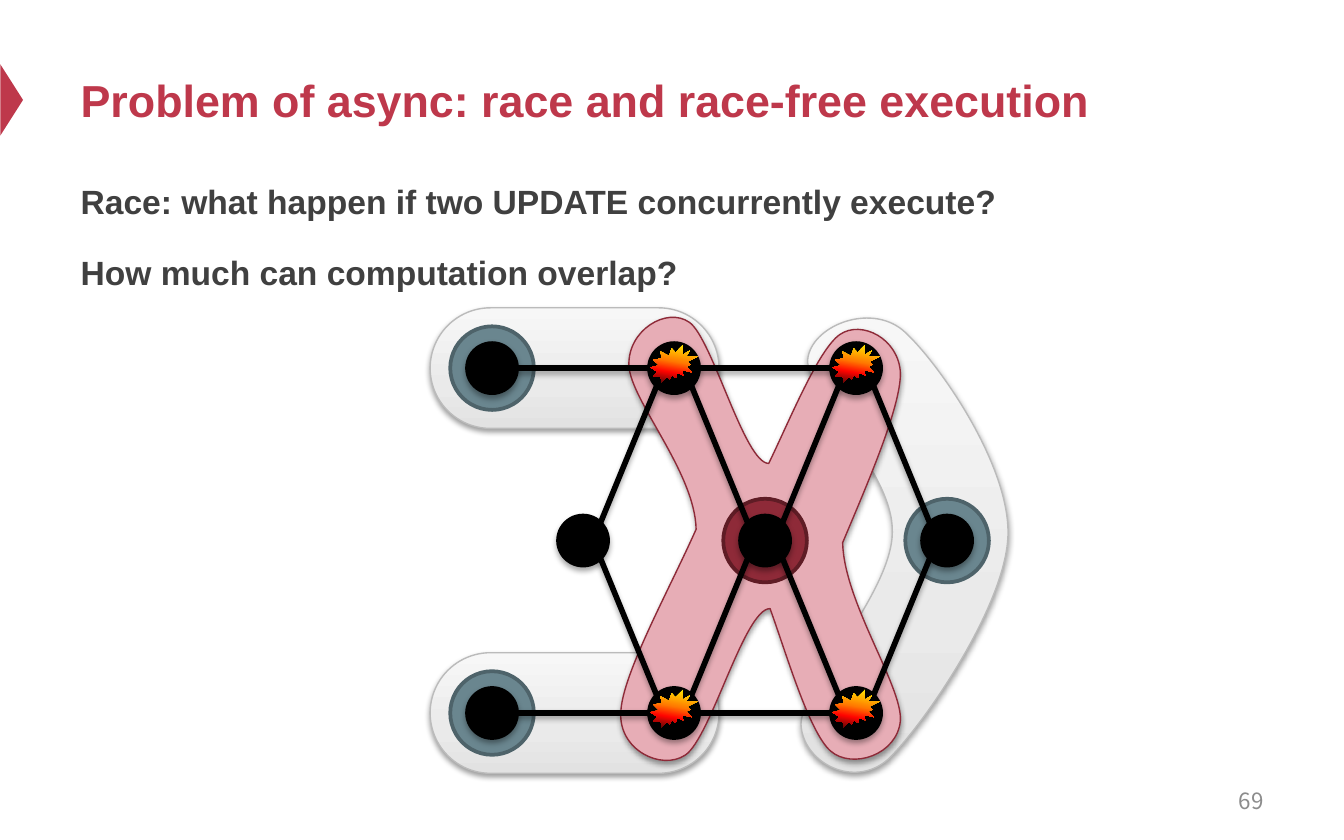
from math import cos, radians, sin
from lxml.etree import SubElement
from pptx import Presentation
from pptx.dml.color import RGBColor
from pptx.enum.shapes import MSO_CONNECTOR, MSO_SHAPE
from pptx.enum.text import MSO_ANCHOR, MSO_AUTO_SIZE, PP_ALIGN
from pptx.oxml.ns import qn
from pptx.util import Cm, Pt

HUES = {
    "brand": "BE384B", "text": "404040", "page": "8C8C8C", "black": "000000",
    "edge": "BBBBBB", "pink": "E7ADB6", "wine": "8E2A38", "dark": "5F1C25",
    "teal": "6A868F", "deep": "4E636A",
}
GREY = [(0, "E2E2E2"), (35, "EAEAEA"), (100, "F7F7F7")]
FIRE = [(0, "FFF200"), (45, "FF7A00"), (70, "FF0300"), (100, "4D0808")]
SOFT = (38, 1.6)  # shadow opacity in percent, distance in points
HARD = (35, 1.8)

INCH = 2.54  # the curve points below are in inches
BEND = [
    (7.5, 3.99),
    (7.52, 3.46), (6.97, 2.68), (6.72, 2.46),
    (6.47, 2.25), (6.03, 2.43), (6.01, 2.68),
    (6, 2.93), (6.65, 3.51), (6.64, 3.96),
    (6.64, 4.41), (5.96, 5.12), (5.96, 5.39),
    (5.97, 5.67), (6.35, 5.88), (6.61, 5.65),
    (6.86, 5.41), (7.48, 4.52), (7.5, 3.99),
]
CROSS = [
    (5.13, 2.4),
    (5.3, 2.52), (5.54, 3.45), (5.72, 3.45),
    (5.88, 3.12), (6.09, 2.6), (6.25, 2.49),
    (6.41, 2.38), (6.69, 2.52), (6.7, 2.78),
    (6.7, 3.04), (6.45, 3.61), (6.27, 4.04),
    (6.28, 4.48), (6.71, 5.1), (6.7, 5.36),
    (6.68, 5.62), (6.34, 5.73), (6.18, 5.59),
    (6.02, 5.45), (5.85, 4.86), (5.73, 4.53),
    (5.54, 4.53), (5.29, 5.49), (5.1, 5.62),
    (4.92, 5.74), (4.6, 5.58), (4.62, 5.3),
    (4.63, 5.02), (4.98, 4.39), (5.18, 3.94),
    (5.17, 3.51), (4.69, 2.98), (4.68, 2.72),
    (4.67, 2.46), (4.96, 2.28), (5.13, 2.4),
]

# Graph nodes as (column, row) on a half-step grid
NODES = [(0, 0), (2, 0), (4, 0), (0, 2), (2, 2), (4, 2), (1, 1), (3, 1), (5, 1)]
CLASH = [(2, 0), (4, 0), (2, 2), (4, 2)]
DOT = 0.91


def hue(name):
    return RGBColor.from_string(HUES[name])


def spot(node):
    """Centre of a grid node in cm."""
    col, row = node
    return 9.3 + 1.72 * col, 6.96 + 3.26 * row


def cast(shape, glow=None):
    """Give a shape its own shadow, or an empty effect list."""
    effect = SubElement(shape._element.spPr, qn("a:effectLst"))
    if glow:
        alpha, dist = glow
        outer = SubElement(effect, qn("a:outerShdw"), blurRad=str(Pt(3.1)),
                           dist=str(Pt(dist)), dir="5400000", rotWithShape="0")
        tint = SubElement(outer, qn("a:srgbClr"), val=HUES["black"])
        SubElement(tint, qn("a:alpha"), val=str(alpha * 1000))


def blend(shape, stops, angle):
    """Fill with a gradient; the angle runs counter-clockwise."""
    shape.fill.gradient()
    shape.fill.gradient_angle = angle
    group = shape._element.spPr.find(".//" + qn("a:gsLst"))
    for old in list(group):
        group.remove(old)
    for place, tint in stops:
        stop = SubElement(group, qn("a:gs"), pos=str(place * 1000))
        SubElement(stop, qn("a:srgbClr"), val=tint)


def style(shape, fill, line=None, width=0.75, glow=None, angle=90):
    if isinstance(fill, list):
        blend(shape, fill, angle)
    else:
        shape.fill.solid()
        shape.fill.fore_color.rgb = hue(fill)
    if line:
        shape.line.color.rgb = hue(line)
        shape.line.width = Pt(width)
    else:
        shape.line.fill.background()
    cast(shape, glow)


def block(slide, kind, mid, size, fill, **look):
    """Add a preset shape around its centre."""
    (x, y), (w, h) = mid, size
    shape = slide.shapes.add_shape(kind, Cm(x - w / 2), Cm(y - h / 2), Cm(w), Cm(h))
    style(shape, fill, **look)
    return shape


def disc(slide, node, size, fill, **look):
    block(slide, MSO_SHAPE.OVAL, spot(node), (size, size), fill, **look)


def blob(slide, knots, box, fill, line, turn=0):
    """Draw a closed outline of cubic curves in a box that may be turned."""
    x, y, w, h = (Cm(n) for n in box)
    draft = slide.shapes.build_freeform(x, y)
    draft.add_line_segments([(x + w, y), (x + w, y + h), (x, y + h)])
    shape = draft.convert_to_shape()
    shape.rotation = turn
    c, s = cos(radians(turn)), sin(radians(turn))
    route = shape._element.spPr.find(".//" + qn("a:pathLst"))[0]
    for old in list(route):
        route.remove(old)
    step = SubElement(route, qn("a:moveTo"))
    for i, (px, py) in enumerate(knots):
        if i % 3 == 1:
            step = SubElement(route, qn("a:cubicBezTo"))
        dx, dy = Cm(INCH * px) - x - w / 2, Cm(INCH * py) - y - h / 2
        SubElement(step, qn("a:pt"), x=str(round(w / 2 + dx * c + dy * s)),
                   y=str(round(h / 2 + dy * c - dx * s)))
    SubElement(route, qn("a:close"))
    style(shape, fill, line=line, glow=SOFT)


def link(slide, start, end):
    """Join two nodes from rim to rim."""
    (x1, y1), (x2, y2) = spot(start), spot(end)
    dx, dy = DOT / 2, 0
    if y2 != y1:
        dx = dy = DOT / 2 * 0.71
    if x2 < x1:
        dx = -dx
    line = slide.shapes.add_connector(MSO_CONNECTOR.STRAIGHT, Cm(x1 + dx), Cm(y1 + dy),
                                      Cm(x2 - dx), Cm(y2 - dy))
    line.line.color.rgb = hue("black")
    line.line.width = Pt(3)
    cast(line, HARD)


def write(shape, lines, size, color, font="Arial", bold=False, align=PP_ALIGN.LEFT,
          anchor=MSO_ANCHOR.TOP, space=None, gap=0, plain=False):
    frame = shape.text_frame
    frame.word_wrap = True
    frame.auto_size = MSO_AUTO_SIZE.NONE
    frame.vertical_anchor = anchor
    frame.text = "\n".join(lines)
    for i, para in enumerate(frame.paragraphs):
        if plain:
            props = para._p.get_or_add_pPr()
            props.set("marL", "0")
            props.set("indent", "0")
            SubElement(props, qn("a:buNone"))
        para.alignment = align
        para.line_spacing = space
        para.space_before = Pt(gap if i else 0)
        para.font.name = font
        para.font.size = Pt(size)
        para.font.bold = bold
        para.font.color.rgb = hue(color)


def place(shape, x, y, w, h):
    shape.left, shape.top, shape.width, shape.height = Cm(x), Cm(y), Cm(w), Cm(h)
    return shape


def words(slide):
    title, body = slide.placeholders
    write(place(title, 1.27, 0.64, 22.86, 2.49),
          ["Problem of async: race and race-free execution"],
          24, "brand", bold=True, anchor=MSO_ANCHOR.MIDDLE)
    write(place(body, 1.27, 3.15, 22.86, 10.46),
          ["Race: what happen if two UPDATE concurrently execute?",
           "How much can computation overlap?"],
          18, "text", bold=True, space=1.2, gap=12, plain=True)
    page = slide.shapes.add_textbox(Cm(18.21), Cm(14.71), Cm(5.92), Cm(0.84))
    write(page, ["69"], 12, "page", font="Noto Sans CJK SC",
          align=PP_ALIGN.RIGHT, anchor=MSO_ANCHOR.MIDDLE)


def graph(slide):
    blob(slide, BEND, (15.14, 6.02, 3.91, 8.59), GREY, "edge")
    for row in (2, 0):
        x, y = spot((0, row))
        pill = block(slide, MSO_SHAPE.ROUNDED_RECTANGLE, (x + 1.56, y), (5.46, 2.28),
                     GREY, line="edge", glow=SOFT)
        pill.adjustments[0] = 0.5
    blob(slide, CROSS, (9.91, 5.94, 8.92, 8.69), "pink", "wine", turn=47.4)
    disc(slide, (3, 1), 1.58, "wine", line="dark", width=2)
    for node in ((0, 2), (0, 0), (5, 1)):
        disc(slide, node, 1.58, "teal", line="deep", width=2)
    for row in (0, 2):
        for col in (0, 2):
            link(slide, (col, row), (col + 2, row))
    for col in (1, 3, 5):
        for side in (col - 1, col + 1):
            if (side, 0) in CLASH:
                link(slide, (side, 0), (col, 1))
                link(slide, (col, 1), (side, 2))
    for node in NODES:
        disc(slide, node, DOT, "black", line="black", width=3, glow=HARD)
    for node in CLASH:
        x, y = spot(node)
        block(slide, MSO_SHAPE.EXPLOSION2, (x, y - 0.08), (0.89, 0.71),
              FIRE, glow=HARD, angle=260)


def main():
    deck = Presentation()
    deck.slide_width, deck.slide_height = Cm(25.4), Cm(15.88)
    slide = deck.slides.add_slide(deck.slide_layouts[1])
    words(slide)
    mark = block(slide, MSO_SHAPE.ISOSCELES_TRIANGLE, (0.22, 1.89), (1.35, 0.43), "brand")
    mark.rotation = 90
    graph(slide)
    deck.save("out.pptx")


if __name__ == "__main__":
    main()
